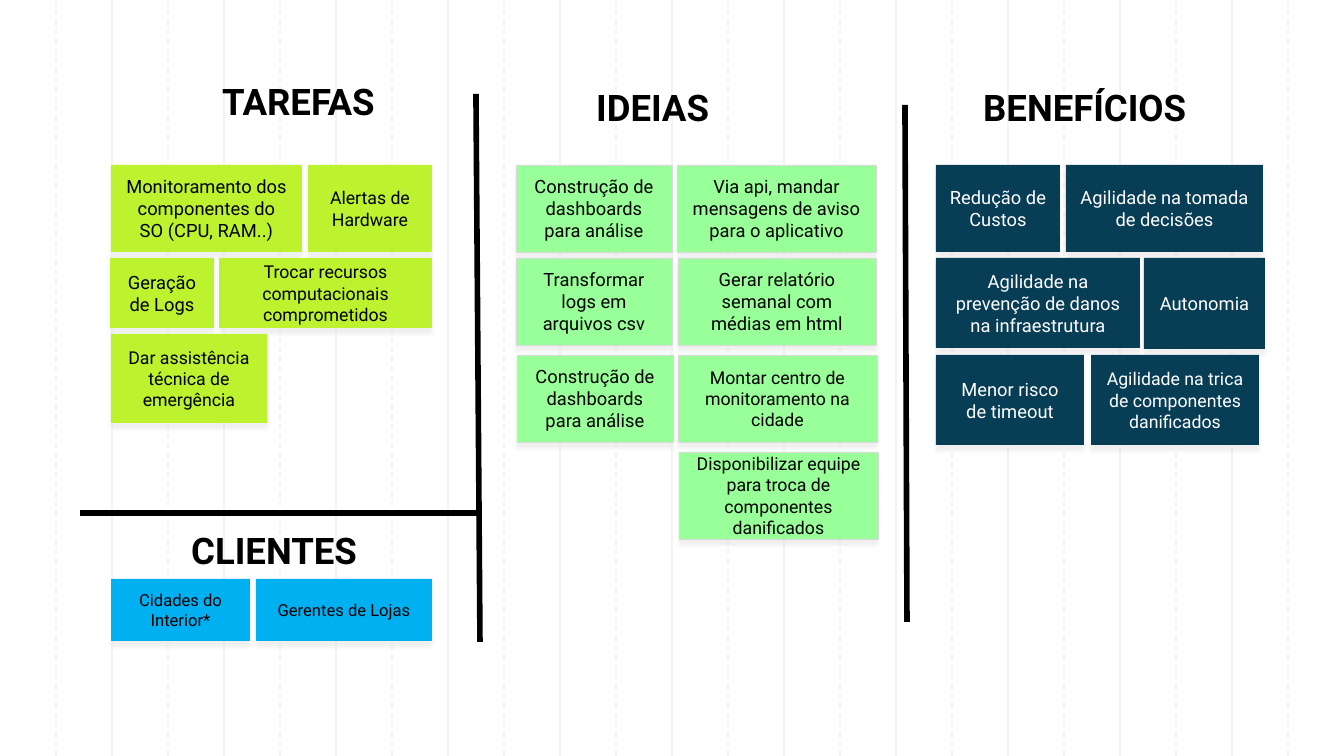
from dataclasses import dataclass
from typing import Optional

from lxml.etree import SubElement
from pptx import Presentation
from pptx.dml.color import RGBColor
from pptx.enum.dml import MSO_LINE
from pptx.enum.shapes import MSO_CONNECTOR, MSO_SHAPE
from pptx.enum.text import MSO_ANCHOR, MSO_AUTO_SIZE, PP_ALIGN
from pptx.oxml.ns import qn
from pptx.util import Emu, Pt

SLIDE_WIDTH, SLIDE_HEIGHT = 1344, 756
EMU_PER_PX = 914400 / 134.4
GRID_STEP = 56


@dataclass(frozen=True)
class Theme:
    font: str = "Roboto"
    black: str = "000000"
    white: str = "FFFFFF"
    grid: str = "F3F3F3"
    edge: str = "D9D9D9"
    lime: str = "BDF32E"
    green: str = "99FF99"
    navy: str = "083D56"
    blue: str = "00B0F0"
    title_size: float = 19.6
    note_size: float = 9.8
    compact_size: float = 9.5
    small_size: float = 8.9
    grid_line: float = 0.75
    edge_line: float = 0.25
    divider_line: float = 3


THEME = Theme()


@dataclass(frozen=True)
class Line:
    x1: int
    y1: int
    x2: int
    y2: int


@dataclass(frozen=True)
class Note:
    text: str
    left: int
    top: int
    width: int
    height: int
    size: float = THEME.note_size


@dataclass(frozen=True)
class Section:
    title: str
    title_left: int
    title_top: int
    title_width: int
    fill: str
    text_color: str
    edge: Optional[str]
    notes: tuple[Note, ...]


DIVIDERS = (
    Line(476, 94, 480, 642),
    Line(905, 105, 907, 622),
    Line(480, 513, 80, 513),
)

SECTIONS = (
    Section("TAREFAS", 209, 72, 190, THEME.lime, THEME.black, None, (
        Note("Monitoramento dos componentes do SO (CPU, RAM..)", 111, 165, 191, 87),
        Note("Alertas de Hardware", 308, 165, 124, 87, THEME.compact_size),
        Note("Geração de Logs", 110, 258, 104, 70),
        Note("Trocar recursos computacionais comprometidos", 219, 258, 213, 70,
             THEME.compact_size),
        Note("Dar assistência técnica de emergência", 111, 334, 156, 89,
             THEME.compact_size),
    )),
    Section("IDEIAS", 583, 78, 142, THEME.green, THEME.black, THEME.edge, (
        Note("Construção de dashboards para análise", 516, 165, 156, 87),
        Note("Via api, mandar mensagens de aviso para o aplicativo", 677, 165, 199, 87),
        Note("Transformar logs em arquivos csv", 516, 258, 156, 87),
        Note("Gerar relatório semanal com médias em html", 678, 258, 198, 87),
        Note("Construção de dashboards para análise", 517, 355, 156, 87),
        Note("Montar centro de monitoramento na cidade", 678, 355, 199, 87,
             THEME.compact_size),
        Note("Disponibilizar equipe para troca de componentes danificados",
             679, 452, 199, 87, THEME.compact_size),
    )),
    Section("BENEFÍCIOS", 970, 78, 250, THEME.navy, THEME.white, None, (
        Note("Redução de Custos", 936, 165, 124, 87),
        Note("Agilidade na tomada de decisões", 1066, 165, 197, 87),
        Note("Agilidade na prevenção de danos na infraestrutura", 936, 258, 204, 90),
        Note("Autonomia", 1144, 258, 121, 91),
        Note("Menor risco de timeout", 936, 355, 148, 90),
        Note("Agilidade na trica de componentes danificados", 1091, 355, 168, 90,
             THEME.compact_size),
    )),
    Section("CLIENTES", 178, 521, 199, THEME.blue, THEME.black, None, (
        Note("Cidades do Interior*", 111, 579, 139, 62, THEME.small_size),
        Note("Gerentes de Lojas", 256, 579, 176, 62, THEME.small_size),
    )),
)


def px(value: int) -> Emu:
    return Emu(round(value * EMU_PER_PX))


def rgb(color: str) -> RGBColor:
    return RGBColor.from_string(color)


def draw_line(slide, line: Line, color: str, width: float, dash=None) -> None:
    connector = slide.shapes.add_connector(
        MSO_CONNECTOR.STRAIGHT, px(line.x1), px(line.y1), px(line.x2), px(line.y2))
    connector.line.color.rgb = rgb(color)
    connector.line.width = Pt(width)
    if dash is not None:
        connector.line.dash_style = dash
    SubElement(connector._element.spPr, qn("a:effectLst"))


def write_text(frame, text: str, size: float, color: str, bold: bool = False):
    paragraph = frame.paragraphs[0]
    paragraph.text = text
    font = paragraph.font
    font.name = THEME.font
    font.size = Pt(size)
    font.bold = bold
    font.color.rgb = rgb(color)
    return paragraph


def add_soft_shadow(shape) -> None:
    """Cast a faint, short shadow straight down."""
    shape.shadow.inherit = False
    effects = shape._element.spPr.find(qn("a:effectLst"))
    shadow = SubElement(effects, qn("a:outerShdw"), blurRad=str(Pt(2)),
                        dist=str(Pt(3)), dir="5400000", algn="t", rotWithShape="0")
    color = SubElement(shadow, qn("a:srgbClr"), val=THEME.edge)
    SubElement(color, qn("a:alpha"), val="40000")


def draw_title(slide, section: Section) -> None:
    box = slide.shapes.add_textbox(px(section.title_left), px(section.title_top),
                                   px(section.title_width), px(58))
    box.text_frame.word_wrap = True
    box.text_frame.auto_size = MSO_AUTO_SIZE.SHAPE_TO_FIT_TEXT
    write_text(box.text_frame, section.title, THEME.title_size, THEME.black, bold=True)


def draw_note(slide, note: Note, section: Section) -> None:
    shape = slide.shapes.add_shape(MSO_SHAPE.RECTANGLE, px(note.left), px(note.top),
                                   px(note.width), px(note.height))
    shape.fill.solid()
    shape.fill.fore_color.rgb = rgb(section.fill)
    if section.edge:
        shape.line.color.rgb = rgb(section.edge)
        shape.line.width = Pt(THEME.edge_line)
    else:
        shape.line.fill.background()
    add_soft_shadow(shape)
    frame = shape.text_frame
    frame.word_wrap = True
    frame.vertical_anchor = MSO_ANCHOR.MIDDLE
    paragraph = write_text(frame, note.text, note.size, section.text_color)
    paragraph.alignment = PP_ALIGN.CENTER


def draw_grid(slide) -> None:
    """Rule the slide with alternating dashed and solid verticals."""
    for index, x in enumerate(range(GRID_STEP, SLIDE_WIDTH, GRID_STEP)):
        dash = MSO_LINE.DASH if index % 2 == 0 else None
        draw_line(slide, Line(x, 0, x, SLIDE_HEIGHT), THEME.grid, THEME.grid_line, dash)


def main() -> None:
    presentation = Presentation()
    presentation.slide_width = px(SLIDE_WIDTH)
    presentation.slide_height = px(SLIDE_HEIGHT)
    slide = presentation.slides.add_slide(presentation.slide_layouts[6])
    draw_grid(slide)
    for divider in DIVIDERS:
        draw_line(slide, divider, THEME.black, THEME.divider_line)
    for section in SECTIONS:
        draw_title(slide, section)
        for note in section.notes:
            draw_note(slide, note, section)
    presentation.save("out.pptx")


if __name__ == "__main__":
    main()
